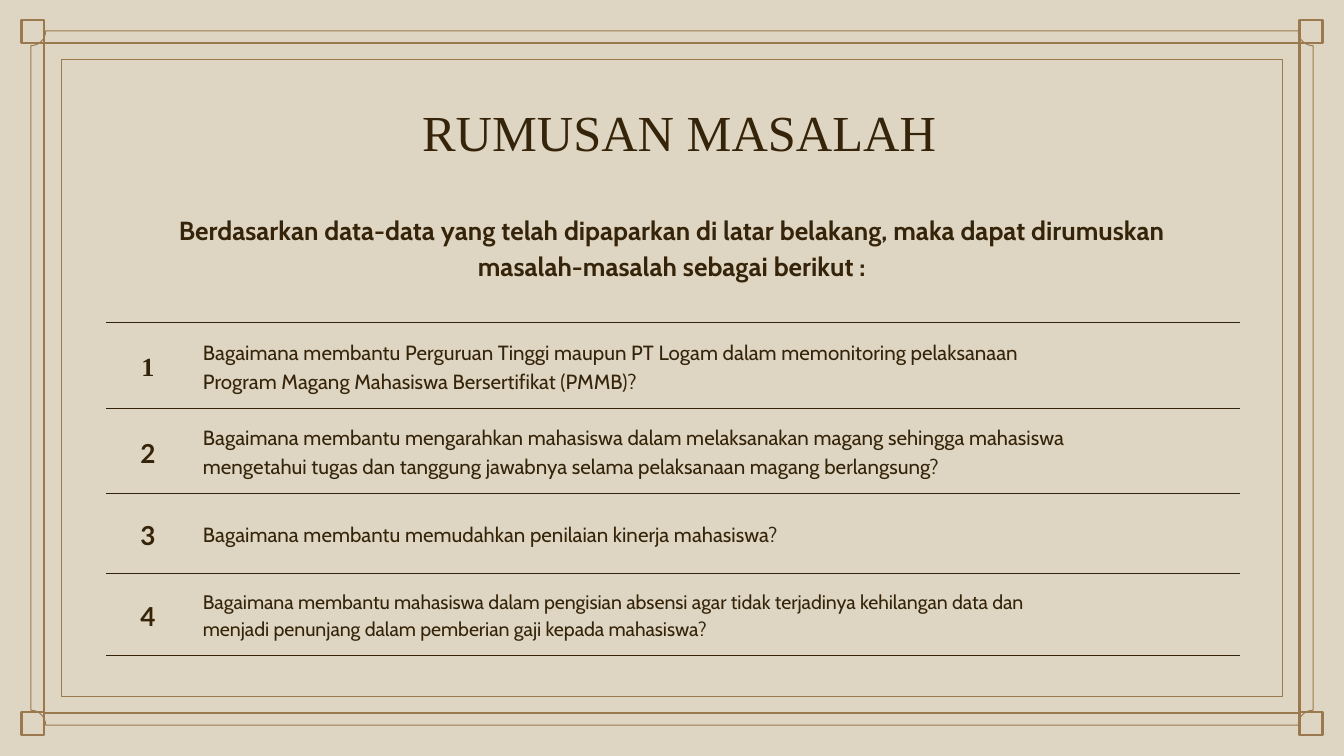
from dataclasses import dataclass
from math import cos, pi, sin

from lxml.etree import SubElement
from pptx import Presentation
from pptx.dml.color import RGBColor
from pptx.enum.shapes import MSO_SHAPE as Shape
from pptx.enum.text import MSO_ANCHOR as Anchor, PP_ALIGN as Align
from pptx.oxml.ns import qn
from pptx.util import Inches, Pt

SAND = RGBColor(0xDE, 0xD6, 0xC2)
BRONZE = RGBColor(0x9B, 0x79, 0x4E)
BROWN = RGBColor(0x35, 0x24, 0x0A)
SERIF, SANS, NUMERAL = "Times New Roman", "Cabin", "Lato"
PAGE_WIDTH = 10
PAGE_HEIGHT = PAGE_WIDTH * 9 / 16
THICK, THIN = 1.28, 0.5
MARGIN = 0.1


@dataclass
class Question:
    text: str
    height: float = 0.6
    size: float = 11
    number_font: str = NUMERAL


QUESTIONS = [
    Question("Bagaimana membantu Perguruan Tinggi maupun PT Logam dalam memonitoring "
             "pelaksanaan Program Magang Mahasiswa Bersertifikat (PMMB)?",
             height=0.64, number_font=SERIF),
    Question("Bagaimana membantu mengarahkan mahasiswa dalam melaksanakan magang sehingga "
             "mahasiswa mengetahui tugas dan tanggung jawabnya selama pelaksanaan magang "
             "berlangsung?"),
    Question("Bagaimana membantu memudahkan penilaian kinerja mahasiswa?"),
    Question("Bagaimana membantu mahasiswa dalam pengisian absensi agar tidak terjadinya "
             "kehilangan data dan menjadi penunjang dalam pemberian gaji kepada mahasiswa?",
             size=10.5),
]
COLUMN_WIDTHS = [0.62, 6.8, 0.23, 0.78]


def write(frame, text: str, *, size: float, font: str = SANS, bold: bool = False,
          align=Align.LEFT, spacing: float = 1.0, after: float = 0) -> None:
    """Fill a text frame with one formatted paragraph."""
    frame.word_wrap = True
    para = frame.paragraphs[0]
    para.alignment = align
    para.line_spacing = spacing
    para.space_after = Pt(after)
    span = para.add_run()
    span.text = text
    span.font.size = Pt(size)
    span.font.name = font
    span.font.bold = bold
    span.font.color.rgb = BROWN


def pad(frame) -> None:
    frame.margin_left = frame.margin_right = Inches(MARGIN)
    frame.margin_top = frame.margin_bottom = Inches(MARGIN)


def outline(shape, weight: float) -> None:
    shape.shadow.inherit = False
    shape.fill.background()
    shape.line.color.rgb = BRONZE
    shape.line.width = Pt(weight)


def add_frame(page, left: float, top: float, width: float, height: float,
              weight: float) -> None:
    box = page.shapes.add_shape(Shape.RECTANGLE, Inches(left), Inches(top),
                                Inches(width), Inches(height))
    outline(box, weight)


def add_notched_frame(page, inset: float, radius: float, steps: int = 8) -> None:
    """Draw a thin frame whose corners are scooped inwards."""
    right, bottom = PAGE_WIDTH - inset, PAGE_HEIGHT - inset
    corners = [(inset, inset, 1, 1), (right, inset, -1, 1),
               (right, bottom, -1, -1), (inset, bottom, 1, -1)]
    points = []
    for index, (x, y, across, down) in enumerate(corners):
        angles = [pi / 2 * step / steps for step in range(steps + 1)]
        if index % 2 == 0:
            angles.reverse()
        points += [(Inches(x + across * radius * cos(angle)),
                    Inches(y + down * radius * sin(angle))) for angle in angles]
    builder = page.shapes.build_freeform(*points[0])
    builder.add_line_segments(points[1:], close=True)
    outline(builder.convert_to_shape(), THIN)


def rule_cell(cell) -> None:
    """Give a cell lines above and below only, and no fill."""
    cell.fill.background()
    properties = cell._tc.get_or_add_tcPr()
    for place, side in enumerate(("L", "R", "T", "B")):
        line = SubElement(properties, qn(f"a:ln{side}"), w=str(Pt(0.75)))
        if side in "TB":
            fill = SubElement(line, qn("a:solidFill"))
            SubElement(fill, qn("a:srgbClr"), val=str(BROWN))
        else:
            SubElement(line, qn("a:noFill"))
        properties.insert(place, line)


def add_questions(page, left: float, top: float) -> None:
    table = page.shapes.add_table(
        len(QUESTIONS), len(COLUMN_WIDTHS), Inches(left), Inches(top),
        Inches(sum(COLUMN_WIDTHS)),
        Inches(sum(question.height for question in QUESTIONS))).table
    table.first_row = table.horz_banding = False
    for column, width in zip(table.columns, COLUMN_WIDTHS):
        column.width = Inches(width)
    for number, (row, question) in enumerate(zip(table.rows, QUESTIONS), start=1):
        row.height = Inches(question.height)
        for cell in row.cells:
            rule_cell(cell)
            pad(cell)
            cell.vertical_anchor = Anchor.MIDDLE
        write(row.cells[0].text_frame, str(number), size=14, font=question.number_font,
              bold=True, align=Align.CENTER, spacing=1.15, after=16)
        write(row.cells[1].text_frame, question.text, size=question.size,
              spacing=1.15, after=16)


def main() -> None:
    deck = Presentation()
    deck.slide_width, deck.slide_height = Inches(PAGE_WIDTH), Inches(PAGE_HEIGHT)
    page = deck.slides.add_slide(deck.slide_layouts[5])
    page.background.fill.solid()
    page.background.fill.fore_color.rgb = SAND

    # Decorative border: two frames, a notched frame and corner squares
    for side, top, weight in ((0.33, 0.32, THICK), (0.46, 0.44, THIN)):
        add_frame(page, side, top, PAGE_WIDTH - 2 * side, PAGE_HEIGHT - 2 * top, weight)
    add_notched_frame(page, inset=0.23, radius=0.11)
    for left in (0.16, 9.67):
        for top in (0.15, 5.3):
            add_frame(page, left, top, 0.17, 0.17, THICK)

    # Title
    title = page.shapes.title
    title.left, title.top = Inches(0.79), Inches(0.65)
    title.width, title.height = Inches(8.43), Inches(0.63)
    pad(title.text_frame)
    title.text_frame.vertical_anchor = Anchor.TOP
    write(title.text_frame, " RUMUSAN MASALAH", size=27, font=SERIF, align=Align.CENTER)

    # Numbered questions
    add_questions(page, 0.79, 2.4)

    # Introduction
    intro = page.shapes.add_textbox(Inches(1.05), Inches(1.46), Inches(7.9), Inches(0.74))
    pad(intro.text_frame)
    write(intro.text_frame,
          "Berdasarkan data-data yang telah dipaparkan di latar belakang, maka dapat "
          "dirumuskan masalah-masalah sebagai berikut :",
          size=14, bold=True, align=Align.CENTER, spacing=1.15)

    deck.save("out.pptx")


if __name__ == "__main__":
    main()
